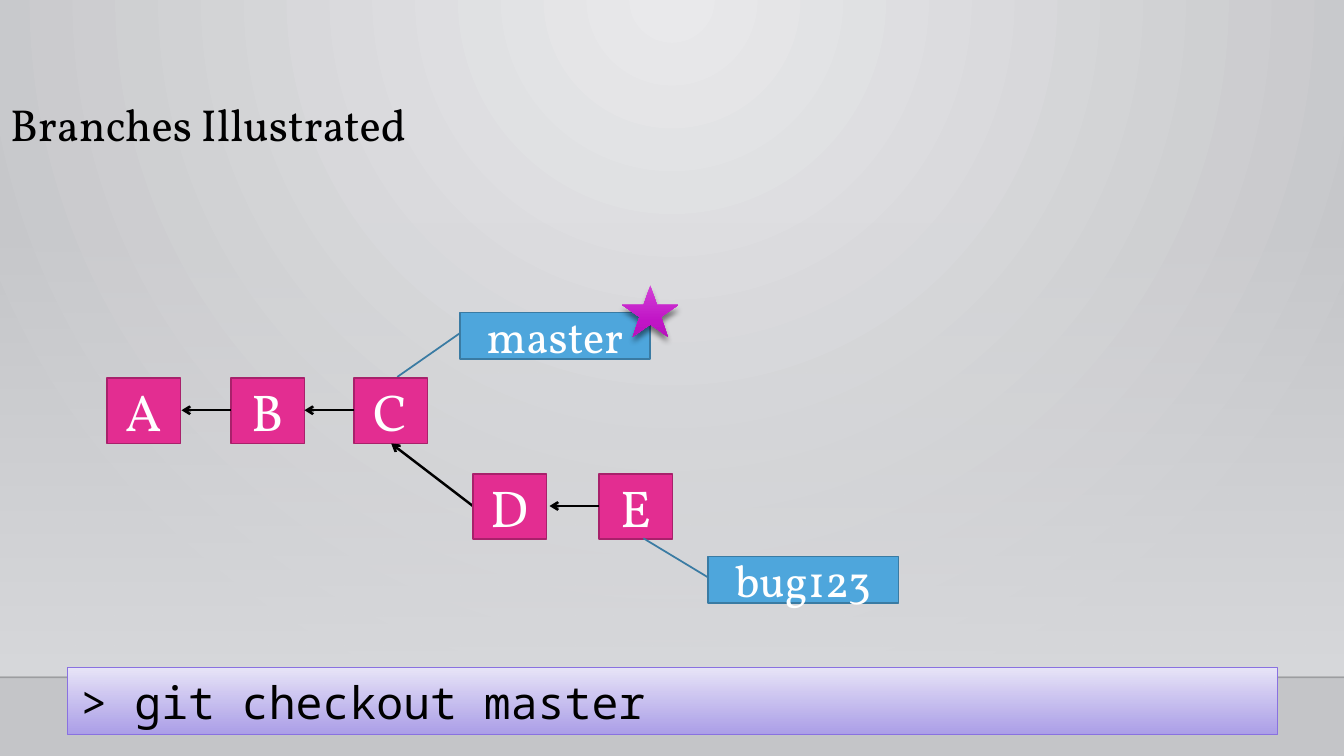
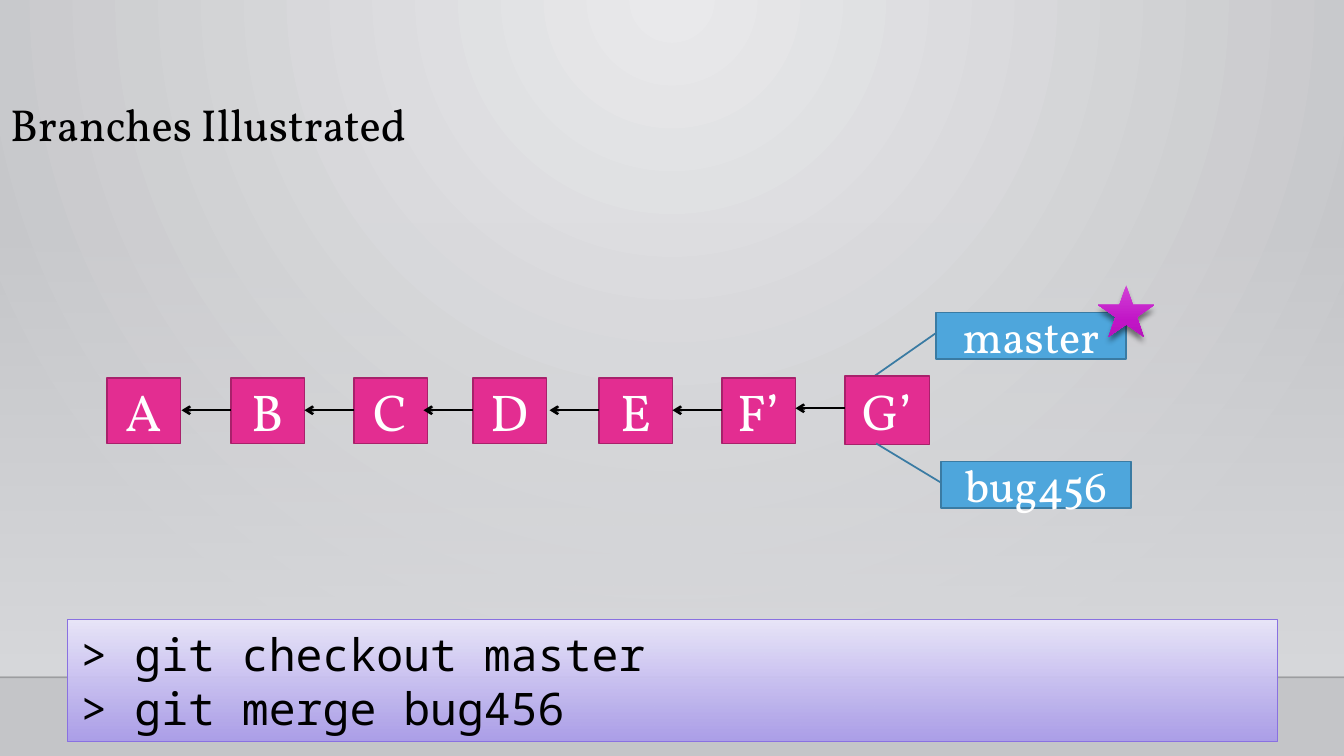
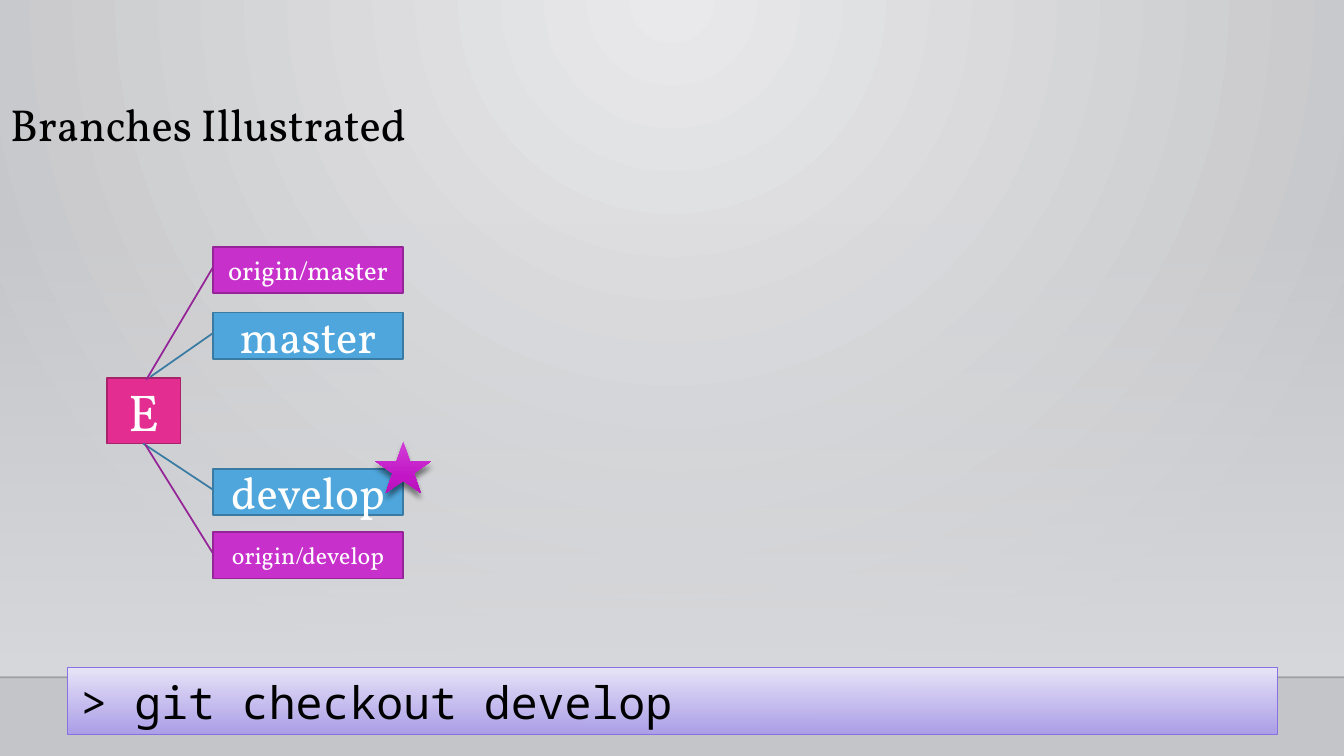
from lxml import etree
from pptx import Presentation
from pptx.dml.color import RGBColor
from pptx.enum import shapes, text
from pptx.oxml.ns import qn
from pptx.util import Inches, Pt

# Shared look
SERIF, MONO = "Vollkorn", "Noto Sans Mono"
BLACK, WHITE = "000000", "FFFFFF"
COMMIT = ("E32D91", "A8216B")
LOCAL = ("4EA6DC", "3A7BA3")
REMOTE = ("C830CC", "942497")
COMMAND_STOPS = [(0, "E9E6F9", 100), (100, "AA9CEB", 92)]
STAR_STOPS = [(0, "D241D6", 100), (69, "C115C6", 100), (100, "B714BC", 100)]

# Shared sizes in inches
ROW_TOP = 3.75
COMMIT_W, COMMIT_H = 0.73, 0.65
LABEL_W, LABEL_H = 1.89, 0.46
ARROW = 0.49


def rgb(value):
    return RGBColor.from_string(value)


def sub(parent, tag, **attrs):
    return etree.SubElement(parent, qn(tag), attrs)


def add_color(parent, color, alpha=100):
    clr = sub(parent, "a:srgbClr", val=color)
    if alpha < 100:
        sub(clr, "a:alpha", val=str(alpha * 1000))


def set_gradient(element, stops, radial=False):
    """Replace the first solid fill: downwards, or radial from the top centre."""
    solid = next(element.iter(qn("a:solidFill")))
    grad = etree.Element(qn("a:gradFill"), rotWithShape="1")
    stop_list = sub(grad, "a:gsLst")
    for pos, color, alpha in stops:
        add_color(sub(stop_list, "a:gs", pos=str(pos * 1000)), color, alpha)
    if radial:
        circle = sub(grad, "a:path", **{"path": "circle"})
        sub(circle, "a:fillToRect", l="43000", t="0", r="43000", b="100000")
    else:
        sub(grad, "a:lin", ang="5400000", scaled="0")
    solid.getparent().replace(solid, grad)


# Element kinds
def add_box(s, kind, x, y, w, h, fill, line=None, width=1.25):
    sp = s.shapes.add_shape(kind, Inches(x), Inches(y), Inches(w), Inches(h))
    sp.shadow.inherit = False
    sp.fill.solid()
    sp.fill.fore_color.rgb = rgb(fill)
    if line:
        sp.line.color.rgb = rgb(line)
        sp.line.width = Pt(width)
    else:
        sp.line.fill.background()
    return sp


def add_text(sp, lines, size, font=SERIF, color=WHITE,
             align=text.PP_ALIGN.CENTER, anchor=text.MSO_ANCHOR.MIDDLE):
    tf = sp.text_frame
    tf.word_wrap = True
    tf.vertical_anchor = anchor
    for i, line in enumerate(lines):
        p = tf.add_paragraph() if i else tf.paragraphs[0]
        p.alignment = align
        r = p.add_run()
        r.text = line
        r.font.size = Pt(size)
        r.font.name = font
        r.font.color.rgb = rgb(color)
    return tf


def set_insets(tf):
    tf.margin_left = tf.margin_right = Inches(0.13)
    tf.margin_top = tf.margin_bottom = Inches(0.07)


def add_line(s, x1, y1, x2, y2, color=BLACK, width=1.75, arrow=True):
    c = s.shapes.add_connector(shapes.MSO_CONNECTOR.STRAIGHT,
                               Inches(x1), Inches(y1), Inches(x2), Inches(y2))
    c.line.color.rgb = rgb(color)
    c.line.width = Pt(width)
    if arrow:
        sub(c.line._ln, "a:tailEnd", type="arrow")
    sub(c._element.spPr, "a:effectLst")
    return c


def add_commit(s, name, x, y=ROW_TOP, w=COMMIT_W, h=COMMIT_H, size=37):
    sp = add_box(s, shapes.MSO_SHAPE.RECTANGLE, x, y, w, h, *COMMIT)
    set_insets(add_text(sp, [name], size))


def add_parent_arrow(s, x, y=ROW_TOP):
    middle = y + 0.32
    add_line(s, x, middle, x - ARROW, middle)


def add_label(s, name, x, y, target, colors=LOCAL, size=32):
    """Branch label whose callout line ends at the target point."""
    sp = add_box(s, shapes.MSO_SHAPE.LINE_CALLOUT_1, x, y, LABEL_W, LABEL_H, *colors)
    tx, ty = target
    ends = (0.45, 0, (ty - y) / LABEL_H, (tx - x) / LABEL_W)
    for i, value in enumerate(ends):
        sp.adjustments[i] = value
    set_insets(add_text(sp, [name], size))


def add_star(s, label_x, label_y):
    """Current-branch star on the top right corner of a label."""
    sp = add_box(s, shapes.MSO_SHAPE.STAR_5_POINT, label_x + LABEL_W - 0.28,
                 label_y - 0.27, 0.56, 0.51, STAR_STOPS[0][1])
    set_gradient(sp._element, STAR_STOPS)
    effects = sp._element.spPr.find(qn("a:effectLst"))
    shadow = sub(effects, "a:outerShdw", blurRad=str(Pt(4)), dist=str(Pt(4)),
                 dir="5400000", rotWithShape="0")
    add_color(shadow, BLACK, 48)


def add_commands(s, lines, y, h):
    sp = add_box(s, shapes.MSO_SHAPE.RECTANGLE, 0.67, y, 12, h,
                 COMMAND_STOPS[0][1], "8971E1", 0.75)
    set_gradient(sp._element, COMMAND_STOPS)
    tf = add_text(sp, lines, 32, MONO, BLACK, text.PP_ALIGN.LEFT, text.MSO_ANCHOR.TOP)
    set_insets(tf)
    tf.auto_size = text.MSO_AUTO_SIZE.SHAPE_TO_FIT_TEXT


# Slide frame
def add_slide(prs):
    s = prs.slides.add_slide(prs.slide_layouts[5])
    title = s.shapes.title
    title.left, title.top = Inches(0), Inches(0.3)
    title.width, title.height = Inches(12), Inches(1.25)
    tf = add_text(title, ["Branches Illustrated"], 32, color=BLACK,
                  align=text.PP_ALIGN.LEFT, anchor=text.MSO_ANCHOR.BOTTOM)
    tf.auto_size = text.MSO_AUTO_SIZE.NONE
    tf.paragraphs[0].line_spacing = 0.9
    return s


def build_master(prs, s):
    """Set the background, then move the wall and floor line to the master."""
    master = prs.slide_master
    master.background.fill.solid()
    master.background.fill.fore_color.rgb = rgb("E9E9EB")
    set_gradient(master.element, [(0, "E9E9EB", 100), (100, "C4C5C8", 100)], True)
    wall = add_box(s, shapes.MSO_SHAPE.RECTANGLE, 0, 2.2, 13.33, 4.5, "D8D9DC")
    set_gradient(wall._element, [(0, "D8D9DC", 0), (100, "D8D9DC", 100)])
    floor = add_line(s, 0, 6.72, 13.33, 6.72, "000001", 1, arrow=False)
    sub(next(floor._element.iter(qn("a:srgbClr"))), "a:alpha", val="20000")
    for i, part in enumerate((wall, floor)):
        next(part._element.iter(qn("p:cNvPr"))).set("id", str(100 + i))
        master.shapes._spTree.insert(2 + i, part._element)


# Slides
def checkout_master(s):
    add_label(s, "master", 4.56, 3.1, (3.94, 3.74))
    add_commands(s, ["> git checkout master"], 6.62, 0.67)
    for name, x in zip("ABC", (1.06, 2.29, 3.51)):
        add_commit(s, name, x)
    for x in (2.29, 3.51):
        add_parent_arrow(s, x)
    bug_top = 4.7
    add_line(s, 4.69, 5.02, 3.88, 4.4)
    for name, x in zip("DE", (4.69, 5.94)):
        add_commit(s, name, x, bug_top)
    add_parent_arrow(s, 5.94, bug_top)
    add_label(s, "bug123", 7.02, 5.52, (6.38, 5.34))
    add_star(s, 4.56, 3.1)


def merge_bug(s):
    add_label(s, "master", 9.28, 3.1, (8.66, 3.74))
    for name, x in zip(("A", "B", "C", "D", "E", "F’"),
                       (1.06, 2.29, 3.51, 4.69, 5.94, 7.16)):
        add_commit(s, name, x)
    add_commit(s, "G’", 8.38, 3.73, 0.84, 0.68, 36)
    for x in (2.29, 3.51, 4.69, 5.94, 7.16):
        add_parent_arrow(s, x)
    add_parent_arrow(s, 8.38, 3.73)
    add_commands(s, ["> git checkout master", "> git merge bug456"], 6.15, 1.21)
    add_label(s, "bug456", 9.33, 4.58, (8.69, 4.4))
    add_star(s, 9.28, 3.1)


def checkout_develop(s):
    add_commit(s, "E", 1.06)
    x = 2.11
    add_label(s, "master", x, 3.1, (1.49, 3.74))
    add_label(s, "origin/master", x, 2.45, (1.45, 3.77), REMOTE, 19)
    add_label(s, "develop", x, 4.65, (1.42, 4.4))
    add_label(s, "origin/develop", x, 5.28, (1.44, 4.41), REMOTE, 17)
    add_commands(s, ["> git checkout develop"], 6.62, 0.67)
    add_star(s, x, 4.65)


def main():
    prs = Presentation()
    prs.slide_width, prs.slide_height = Inches(13.33), Inches(7.5)
    for i, draw in enumerate((checkout_master, merge_bug, checkout_develop)):
        s = add_slide(prs)
        if i == 0:
            build_master(prs, s)
        draw(s)
    prs.save("out.pptx")


main()
